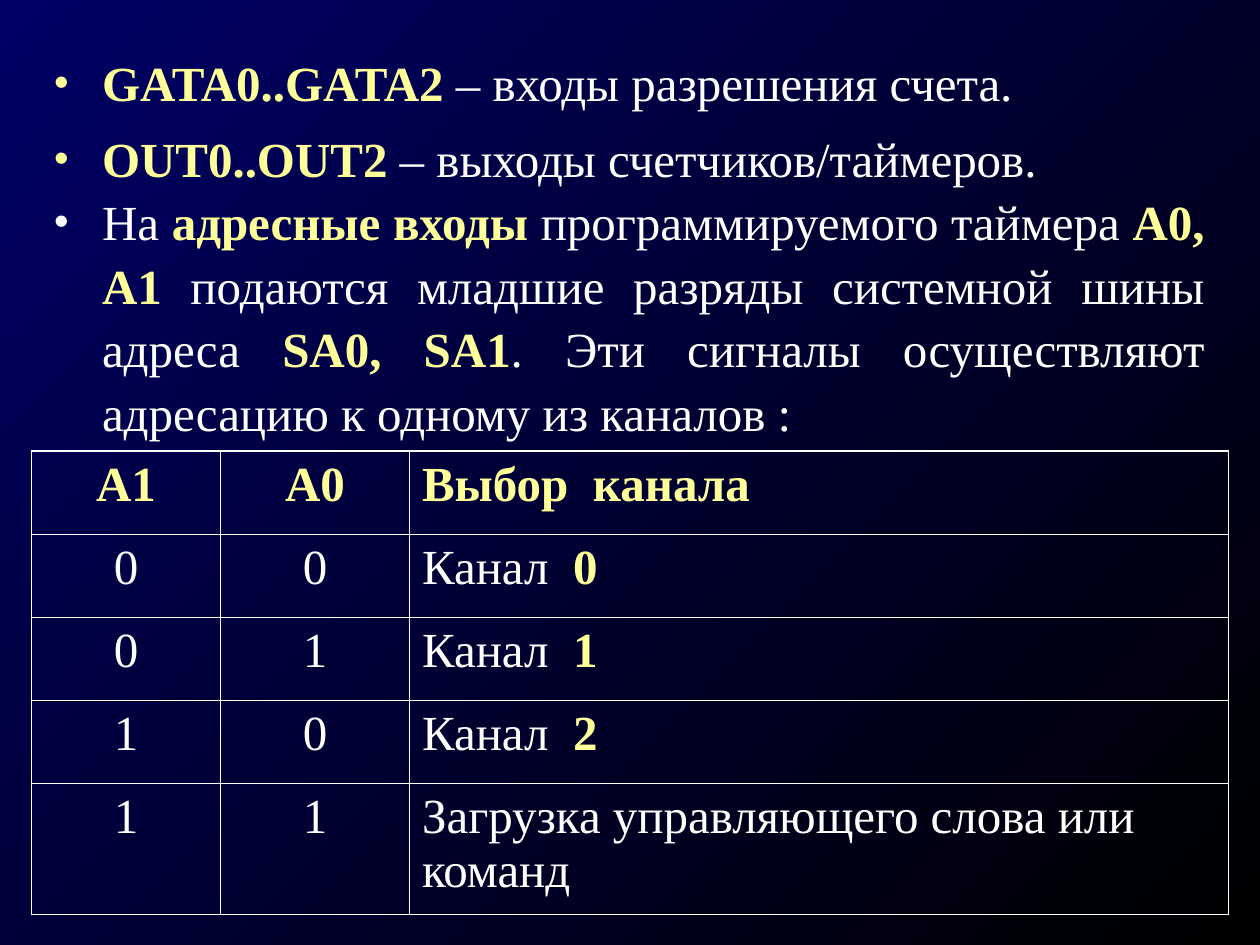
from dataclasses import dataclass

from lxml.etree import SubElement
from pptx import Presentation
from pptx.dml.color import RGBColor
from pptx.enum.text import MSO_ANCHOR, MSO_AUTO_SIZE, PP_ALIGN
from pptx.oxml.ns import qn
from pptx.util import Inches, Pt


@dataclass(frozen=True)
class Theme:
    """Colours, font, type size and line widths of the slide."""
    text: str = "FFFFFF"
    accent: str = "FFFF99"
    deep: str = "000066"
    dark: str = "000000"
    font: str = "Times New Roman"
    size: float = 28
    outer_line: float = 1.08
    inner_line: float = 0.45


THEME = Theme()

SIGNALS = [
    (THEME.accent, 0, ["", "GATA0..GATA2", " – входы разрешения счета."]),
    (THEME.accent, 7, ["", "OUT0..OUT2", " – выходы счетчиков/таймеров."]),
    (THEME.text, 0, [
        "На ", "адресные входы", " программируемого таймера ", "А0, А1",
        " подаются младшие разряды системной шины адреса ", "SA0, SA1",
        ". Эти сигналы осуществляют адресацию к одному из каналов :"]),
]

CHANNELS = [
    (["", "А1"], ["", "А0"], ["", "Выбор  канала"]),
    (["0"], ["0"], ["Канал  ", "0"]),
    (["0"], ["1"], ["Канал  ", "1"]),
    (["1"], ["0"], ["Канал ", " 2"]),
    (["1"], ["1"], ["Загрузка управляющего слова или команд"]),
]
COLUMN_WIDTHS = [1.5, 1.5, 6.5]
ROW_HEIGHTS = [0.66, 0.66, 0.66, 0.66, 1.04]


def paint_background(slide):
    """Fill the background with a diagonal gradient."""
    fill = slide.background.fill
    fill.gradient()
    fill.gradient_angle = 315
    for stop, colour in zip(fill.gradient_stops, (THEME.deep, THEME.dark)):
        stop.color.rgb = RGBColor.from_string(colour)


def write_phrases(paragraph, phrases):
    """Write phrases that alternate between plain and highlighted."""
    paragraph.font.name = THEME.font
    paragraph.font.size = Pt(THEME.size)
    for position, phrase in enumerate(phrases):
        if phrase:
            highlighted = position % 2 == 1
            run = paragraph.add_run()
            run.text = phrase
            run.font.bold = highlighted
            run.font.color.rgb = RGBColor.from_string(
                THEME.accent if highlighted else THEME.text)


def add_bullet(paragraph, colour):
    """Give a paragraph a hanging bullet of the given colour."""
    properties = paragraph._p.get_or_add_pPr()
    properties.set("marL", str(Inches(0.38)))
    properties.set("indent", str(-Inches(0.38)))
    bullet_colour = SubElement(properties, qn("a:buClr"))
    SubElement(bullet_colour, qn("a:srgbClr"), val=colour)
    SubElement(properties, qn("a:buSzPct"), val="85000")
    SubElement(properties, qn("a:buChar"), char="•")


def fill_signal_list(body):
    """Place the body placeholder and write the signal descriptions."""
    body.left, body.top = Inches(0.33), Inches(0.33)
    body.width, body.height = Inches(9.33), Inches(6.92)
    frame = body.text_frame
    frame.auto_size = MSO_AUTO_SIZE.NONE
    frame.vertical_anchor = MSO_ANCHOR.TOP
    for index, (bullet_colour, gap, phrases) in enumerate(SIGNALS):
        paragraph = frame.add_paragraph() if index else frame.paragraphs[0]
        add_bullet(paragraph, bullet_colour)
        paragraph.alignment = PP_ALIGN.JUSTIFY
        paragraph.line_spacing = 1.08
        paragraph.space_before = Pt(gap)
        write_phrases(paragraph, phrases)


def draw_borders(cell, outer_sides):
    """Draw four cell borders, heavier on the outer sides."""
    properties = cell._tc.get_or_add_tcPr()
    for position, side in enumerate("LRTB"):
        width = THEME.outer_line if side in outer_sides else THEME.inner_line
        line = properties.makeelement(qn(f"a:ln{side}"), {"w": str(Pt(width))})
        colour = SubElement(line, qn("a:solidFill"))
        SubElement(colour, qn("a:srgbClr"), val=THEME.text)
        properties.insert(position, line)


def add_channel_table(slide):
    """Add the table that maps address bits to channels."""
    table = slide.shapes.add_table(
        len(ROW_HEIGHTS), len(COLUMN_WIDTHS), Inches(0.25), Inches(3.58),
        Inches(sum(COLUMN_WIDTHS)), Inches(sum(ROW_HEIGHTS))).table
    table.first_row = table.horz_banding = False
    for column, width in zip(table.columns, COLUMN_WIDTHS):
        column.width = Inches(width)
    last_row, last_column = len(ROW_HEIGHTS) - 1, len(COLUMN_WIDTHS) - 1
    for r, (height, entries) in enumerate(zip(ROW_HEIGHTS, CHANNELS)):
        table.rows[r].height = Inches(height)
        for c, phrases in enumerate(entries):
            cell = table.cell(r, c)
            cell.fill.background()
            edges = {"T": r == 0, "B": r == last_row,
                     "L": c == 0, "R": c == last_column}
            draw_borders(cell, [side for side in edges if edges[side]])
            paragraph = cell.text_frame.paragraphs[0]
            paragraph.alignment = (
                PP_ALIGN.LEFT if c == last_column else PP_ALIGN.CENTER)
            write_phrases(paragraph, phrases)


def main():
    """Build the slide and save it."""
    presentation = Presentation()
    presentation.slide_width, presentation.slide_height = Inches(10), Inches(7.5)
    slide = presentation.slides.add_slide(presentation.slide_layouts[1])
    title = slide.shapes.title
    title.element.getparent().remove(title.element)
    paint_background(slide)
    fill_signal_list(slide.placeholders[1])
    add_channel_table(slide)
    presentation.save("out.pptx")


if __name__ == "__main__":
    main()
